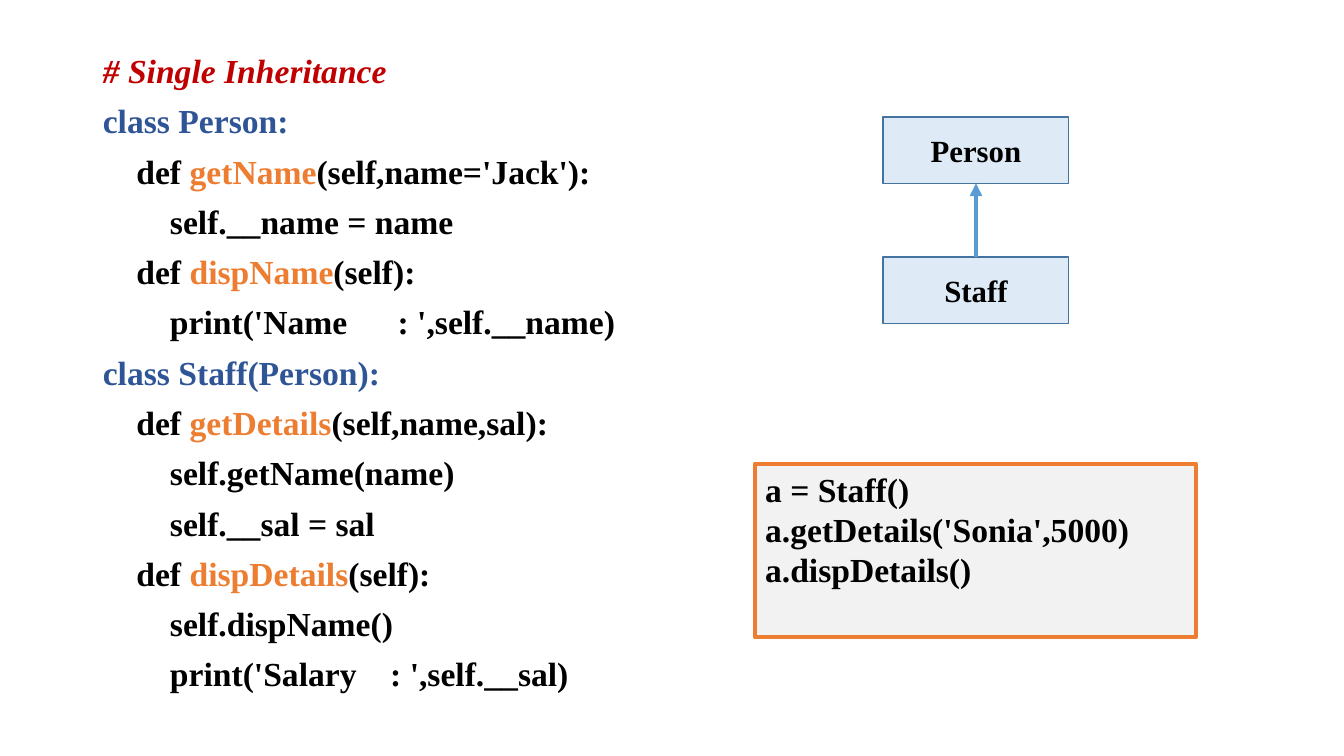
from lxml.etree import SubElement
from pptx import Presentation
from pptx.dml.color import RGBColor
from pptx.enum.shapes import MSO_CONNECTOR, MSO_SHAPE
from pptx.enum.text import MSO_ANCHOR, MSO_AUTO_SIZE, PP_ALIGN
from pptx.oxml.ns import qn
from pptx.util import Inches, Pt

FONT = "Times New Roman"
COLORS = {
    "comment": "C00000", "class": "2F5597", "method": "ED7D31",
    "text": "000000", "class_fill": "DEEBF7", "class_line": "43739E",
    "usage_fill": "F2F2F2", "usage_line": "ED7D31", "arrow": "5B9BD5",
}

CODE = """# Single Inheritance
class Person:
    def getName(self,name='Jack'):
        self.__name = name
    def dispName(self):
        print('Name      : ',self.__name)
class Staff(Person):
    def getDetails(self,name,sal):
        self.getName(name)
        self.__sal = sal
    def dispDetails(self):
        self.dispName()
        print('Salary    : ',self.__sal)"""

USAGE = """a = Staff()
a.getDetails('Sonia',5000)
a.dispDetails()"""


def rgb(name):
    return RGBColor.from_string(COLORS[name])


def add_run(p, text, size=24, color="text", italic=False):
    r = p.add_run()
    r.text = text
    r.font.name = FONT
    r.font.size = Pt(size)
    r.font.bold = True
    r.font.italic = italic
    r.font.color.rgb = rgb(color)


def add_code_line(p, line):
    """Colour a line of code by the kind of statement it holds."""
    if line.startswith("#"):
        add_run(p, line, color="comment", italic=True)
    elif line.startswith("class "):
        add_run(p, line, color="class")
    elif "def " in line:
        indent, keyword, rest = line.partition("def ")
        method, bracket, arguments = rest.partition("(")
        add_run(p, indent + keyword)
        add_run(p, method, color="method")
        add_run(p, bracket + arguments)
    else:
        add_run(p, line)


def paragraphs(tf, text):
    """Yield one paragraph of the frame with each line of the text."""
    for i, line in enumerate(text.split("\n")):
        yield (tf.add_paragraph() if i else tf.paragraphs[0]), line


def fill_code(body):
    body.left, body.top = Inches(0.92), Inches(0.49)
    body.width, body.height = Inches(5.92), Inches(6.26)
    tf = body.text_frame
    tf.word_wrap = True
    tf.auto_size = MSO_AUTO_SIZE.NONE
    tf.vertical_anchor = MSO_ANCHOR.TOP
    for i, (p, line) in enumerate(paragraphs(tf, CODE)):
        pPr = p._p.get_or_add_pPr()
        pPr.set("marL", "0")
        pPr.set("indent", "0")
        SubElement(pPr, qn("a:buNone"))
        p.line_spacing = 0.9
        p.space_before = Pt(10 if i else 0)
        add_code_line(p, line)


def add_box(slide, left, top, width, height, text, fill, line, line_width=1,
            size=24, align=PP_ALIGN.LEFT, anchor=MSO_ANCHOR.TOP):
    sp = slide.shapes.add_shape(MSO_SHAPE.RECTANGLE, Inches(left), Inches(top),
                                Inches(width), Inches(height))
    sp.shadow.inherit = False
    sp.fill.solid()
    sp.fill.fore_color.rgb = rgb(fill)
    sp.line.color.rgb = rgb(line)
    sp.line.width = Pt(line_width)
    tf = sp.text_frame
    tf.word_wrap = True
    tf.vertical_anchor = anchor
    for p, row in paragraphs(tf, text):
        p.alignment = align
        add_run(p, row, size=size)
    return sp


def add_class(slide, top, name):
    return add_box(slide, 8.76, top, 1.84, 0.66, name, "class_fill", "class_line",
                   size=22, align=PP_ALIGN.CENTER, anchor=MSO_ANCHOR.MIDDLE)


def add_inheritance(slide, child, parent):
    arrow = slide.shapes.add_connector(MSO_CONNECTOR.STRAIGHT, 0, 0, 0, 0)
    arrow.begin_connect(child, 0)
    arrow.end_connect(parent, 2)
    arrow.line.color.rgb = rgb("arrow")
    arrow.line.width = Pt(3)
    SubElement(arrow.line._get_or_add_ln(), qn("a:tailEnd"), type="triangle")
    SubElement(arrow._element.spPr, qn("a:effectLst"))


def main():
    prs = Presentation()
    prs.slide_width, prs.slide_height = Inches(13.33), Inches(7.5)
    slide = prs.slides.add_slide(prs.slide_layouts[1])
    title = slide.shapes.title._element
    title.getparent().remove(title)

    # Class definitions
    fill_code(slide.placeholders[1])

    # Usage example
    add_box(slide, 7.49, 4.6, 4.37, 1.72, USAGE, "usage_fill", "usage_line",
            line_width=3)

    # Inheritance diagram
    person = add_class(slide, 1.16, "Person")
    staff = add_class(slide, 2.55, "Staff")
    add_inheritance(slide, staff, person)

    prs.save("out.pptx")


if __name__ == "__main__":
    main()
